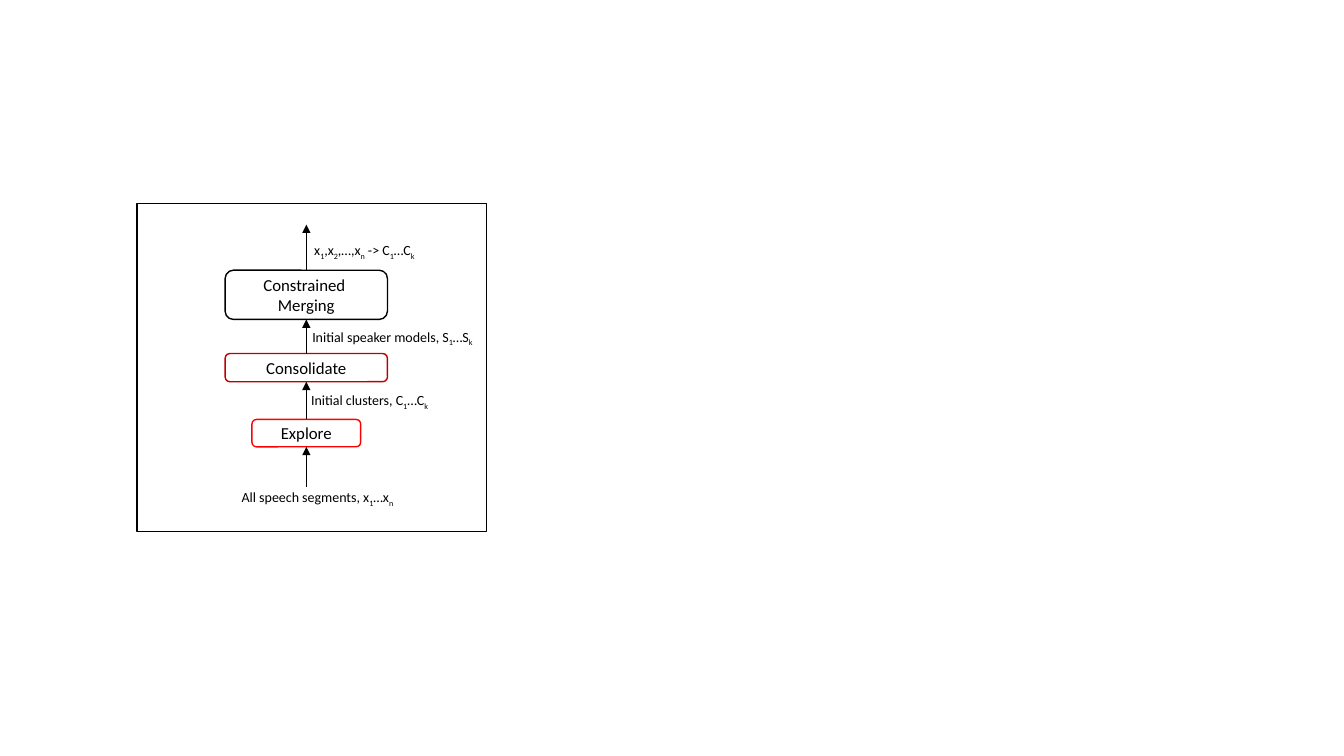
from lxml import etree
from pptx import Presentation
from pptx import util as u
from pptx.dml.color import RGBColor
from pptx.enum import shapes, text
from pptx.oxml import ns

BLACK = RGBColor(0, 0, 0)
WHITE = RGBColor(255, 255, 255)
RED = RGBColor(255, 0, 0)
DARK_RED = RGBColor(192, 0, 0)

AXIS = 4.27
STAGES = [
    (["Explore"], 5.44, 2.74, 0.69, RED),
    (["Consolidate"], 3.78, 4.09, 0.71, DARK_RED),
    (["Constrained ", "Merging"], 1.68, 4.09, 1.24, BLACK),
]
LABELS = [
    ("All speech segments, x_1…x_n", 2.39, 7.06, 4.6),
    ("Initial clusters, C_1…C_k", 4.14, 4.62, 3.61),
    ("Initial speaker models, S_1…S_k", 4.17, 3.02, 4.65),
    (" x_1,x_2,…,x_n -> C_1…C_k", 4.14, 0.84, 4.27),
]
FLOW_START, FLOW_END = 7.14, 0.53


def apply(target, values):
    for name, value in values.items():
        setattr(target, name, value)


def add_run(paragraph, content, size):
    run = paragraph.add_run()
    run.text = content
    apply(run.font, {"name": "Calibri", "size": u.Pt(size)})
    run.font.color.rgb = BLACK
    return run


def add_outlined(group, kind, box, color, filled):
    shape = group.shapes.add_shape(kind, *map(u.Cm, box))
    shape.shadow.inherit = False
    if filled:
        shape.fill.solid()
        shape.fill.fore_color.rgb = WHITE
    else:
        shape.fill.background()
    shape.line.color.rgb = color
    shape.line.width = u.Pt(1)
    return shape


def add_stage(group, box, lines, color):
    shape = add_outlined(group, shapes.MSO_SHAPE.ROUNDED_RECTANGLE, box, color, True)
    frame = shape.text_frame
    apply(frame, {"word_wrap": True, "vertical_anchor": text.MSO_ANCHOR.MIDDLE})
    for index, line in enumerate(lines):
        paragraph = frame.add_paragraph() if index else frame.paragraphs[0]
        paragraph.alignment = text.PP_ALIGN.CENTER
        add_run(paragraph, line, 12)


def add_label(group, box, content):
    frame = group.shapes.add_textbox(*map(u.Cm, box)).text_frame
    apply(frame, {"word_wrap": True, "auto_size": text.MSO_AUTO_SIZE.SHAPE_TO_FIT_TEXT})
    paragraph = frame.paragraphs[0]
    first, *rest = content.split("_")
    add_run(paragraph, first, 10)
    for piece in rest:
        subscript = add_run(paragraph, piece[0], 10)
        subscript.font._element.set("baseline", "-25000")
        if piece[1:]:
            add_run(paragraph, piece[1:], 10)


def add_arrow(group, x, start, end):
    arrow = group.shapes.add_connector(
        shapes.MSO_CONNECTOR.STRAIGHT, *map(u.Cm, (x, start, x, end)))
    arrow.line.color.rgb = BLACK
    arrow.line.width = u.Pt(0.5)
    line = arrow.line._get_or_add_ln()
    etree.SubElement(line, ns.qn("a:tailEnd"), type="triangle")
    etree.SubElement(arrow._element.spPr, ns.qn("a:effectLst"))


def add_clustering_flow(slide, left, top, width, height):
    group = slide.shapes.add_group_shape()
    for lines, y, stage_width, stage_height, color in STAGES:
        box = (left + AXIS - stage_width / 2, top + y, stage_width, stage_height)
        add_stage(group, box, lines, color)
    starts = [FLOW_START] + [stage[1] for stage in STAGES]
    ends = [stage[1] + stage[3] for stage in STAGES] + [FLOW_END]
    for start, end in zip(starts, ends):
        add_arrow(group, left + AXIS, top + start, top + end)
    for content, x, y, label_width in LABELS:
        add_label(group, (left + x, top + y, label_width, 0.69), content)
    add_outlined(group, shapes.MSO_SHAPE.RECTANGLE, (left, top, width, height), BLACK, False)


presentation = Presentation()
apply(presentation, {"slide_width": u.Cm(33.87), "slide_height": u.Cm(19.05)})
slide = presentation.slides.add_slide(presentation.slide_layouts[6])
add_clustering_flow(slide, 3.45, 5.13, 8.81, 8.26)
presentation.save("out.pptx")
